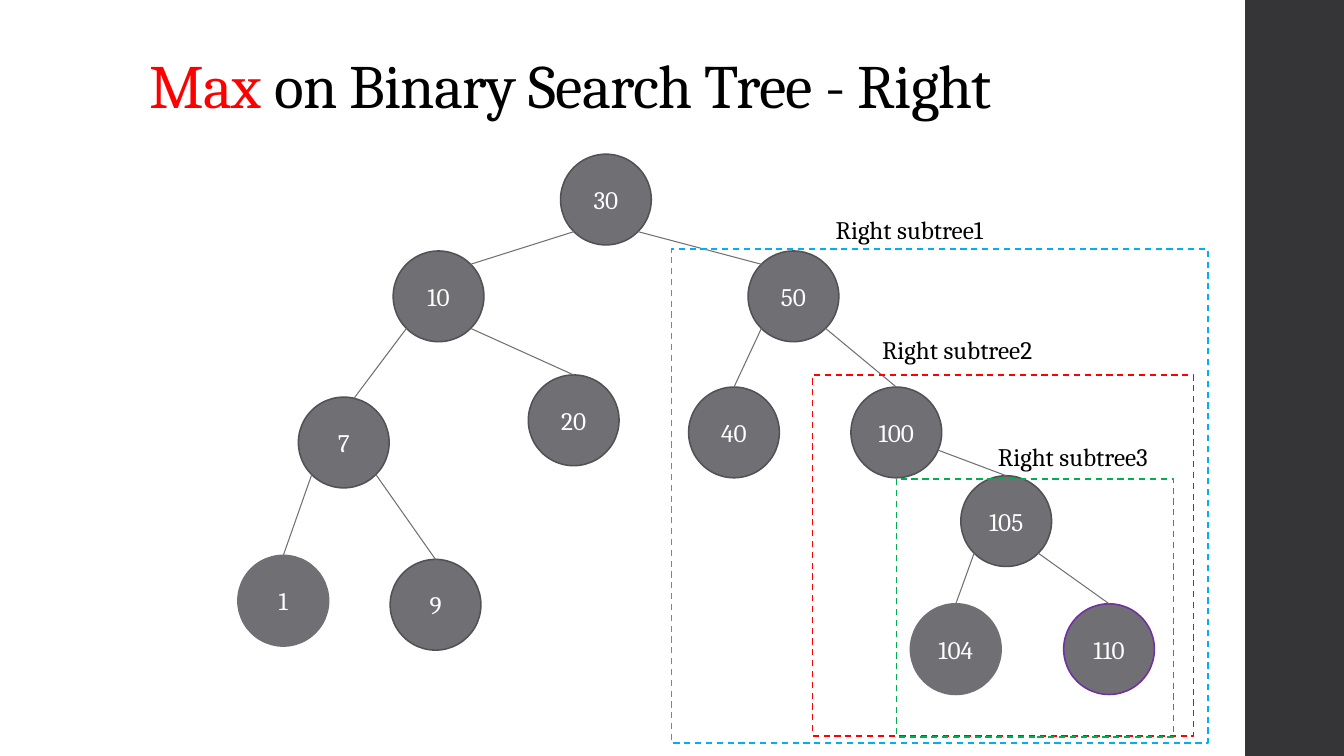
from dataclasses import dataclass
from math import cos, radians, sin

from lxml import etree
from pptx import Presentation
from pptx.dml.color import RGBColor
from pptx.enum.dml import MSO_LINE
from pptx.enum.shapes import MSO_CONNECTOR, MSO_SHAPE
from pptx.enum.text import MSO_ANCHOR, MSO_AUTO_SIZE, PP_ALIGN
from pptx.oxml.ns import qn
from pptx.util import Inches, Pt

ELLIPSE, RECTANGLE = MSO_SHAPE.OVAL, MSO_SHAPE.RECTANGLE
STRAIGHT = MSO_CONNECTOR.STRAIGHT
DASH = MSO_LINE.DASH
LEFT, CENTER = PP_ALIGN.LEFT, PP_ALIGN.CENTER
MIDDLE, BOTTOM = MSO_ANCHOR.MIDDLE, MSO_ANCHOR.BOTTOM

FONT = "Cambria"
GRAY, DARK_GRAY, SIDEBAR = "6F6F74", "525256", "353537"
RED, BLACK, WHITE = "FF0000", "000000", "FFFFFF"
DIAMETER = 0.9

# Directions around a node in degrees, clockwise from the right
LOWER_RIGHT, LOWER_LEFT, UPPER_LEFT, TOP, UPPER_RIGHT = 45, 135, 225, 270, 315


@dataclass
class Node:
    key: int
    left: float
    top: float
    outline: str = DARK_GRAY

    def rim(self, angle: float) -> tuple[float, float]:
        """Point on the circle in the given direction."""
        radius = DIAMETER / 2
        return (self.left + radius + radius * cos(radians(angle)),
                self.top + radius + radius * sin(radians(angle)))


@dataclass
class Edge:
    parent: int
    child: int
    leave: float
    arrive: float = TOP


@dataclass
class Subtree:
    label: str
    label_left: float
    label_top: float
    left: float
    top: float
    width: float
    height: float
    color: str


NODES = [
    Node(30, 5.56, 1.53),
    Node(10, 3.9, 2.49),
    Node(50, 7.42, 2.49),
    Node(7, 2.96, 3.94),
    Node(20, 5.24, 3.72),
    Node(40, 6.83, 3.84),
    Node(100, 8.44, 3.84),
    Node(1, 2.36, 5.51, GRAY),
    Node(9, 3.87, 5.55),
    Node(105, 9.53, 4.72),
    Node(104, 9.03, 5.99, GRAY),
    Node(110, 10.55, 5.99, "7030A0"),
]
EDGES = [
    Edge(30, 10, LOWER_LEFT, UPPER_RIGHT),
    Edge(30, 50, LOWER_RIGHT, UPPER_LEFT),
    Edge(10, 7, LOWER_LEFT, 283),
    Edge(10, 20, LOWER_RIGHT),
    Edge(7, 1, LOWER_LEFT),
    Edge(7, 9, LOWER_RIGHT),
    Edge(50, 40, LOWER_LEFT),
    Edge(50, 100, LOWER_RIGHT),
    Edge(100, 105, 23),
    Edge(105, 104, LOWER_LEFT),
    Edge(105, 110, LOWER_RIGHT),
]
SUBTREES = [
    Subtree("Right subtree1", 8.19, 2.08, 6.66, 2.47, 5.32, 4.9, "00B0F0"),
    Subtree("Right subtree2", 8.65, 3.27, 8.06, 3.72, 3.78, 3.58, RED),
    Subtree("Right subtree3", 9.8, 4.33, 8.89, 4.75, 2.75, 2.56, "00B050"),
]


def rgb(color: str) -> RGBColor:
    return RGBColor.from_string(color)


def style(font, size: float, color: str) -> None:
    font.name = FONT
    font.size = Pt(size)
    font.color.rgb = rgb(color)


def draw_sidebar(slide) -> None:
    sidebar = slide.shapes.add_shape(
        RECTANGLE, Inches(12.35), 0, Inches(0.98), Inches(7.5))
    sidebar.shadow.inherit = False
    sidebar.fill.solid()
    sidebar.fill.fore_color.rgb = rgb(SIDEBAR)
    sidebar.line.fill.background()


def write_title(slide) -> None:
    title = slide.shapes.title
    title.left, title.top = Inches(1.38), Inches(0.4)
    title.width, title.height = Inches(10.6), Inches(0.86)
    frame = title.text_frame
    frame.word_wrap = True
    frame.auto_size = MSO_AUTO_SIZE.NONE
    frame.vertical_anchor = BOTTOM
    heading = frame.paragraphs[0]
    heading.alignment = LEFT
    heading.line_spacing = 0.9
    for words, color in (("Max", RED), (" on Binary Search Tree - Right", BLACK)):
        run = heading.add_run()
        run.text = words
        style(run.font, 44, color)
        run._r.get_or_add_rPr().set("spc", "-50")


def draw_node(slide, node: Node) -> None:
    circle = slide.shapes.add_shape(
        ELLIPSE, Inches(node.left), Inches(node.top),
        Inches(DIAMETER), Inches(DIAMETER))
    circle.shadow.inherit = False
    circle.fill.solid()
    circle.fill.fore_color.rgb = rgb(GRAY)
    circle.line.color.rgb = rgb(node.outline)
    circle.line.width = Pt(1.1)
    frame = circle.text_frame
    frame.text = str(node.key)
    frame.vertical_anchor = MIDDLE
    frame.paragraphs[0].alignment = CENTER
    style(frame.paragraphs[0].runs[0].font, 18, WHITE)


def draw_edge(slide, edge: Edge, nodes: dict[int, Node]) -> None:
    start = nodes[edge.parent].rim(edge.leave)
    end = nodes[edge.child].rim(edge.arrive)
    branch = slide.shapes.add_connector(
        STRAIGHT, *(Inches(value) for value in start + end))
    branch.line.color.rgb = rgb(GRAY)
    branch.line.width = Pt(0.75)
    etree.SubElement(branch._element.spPr, qn("a:effectLst"))


def draw_subtree(slide, subtree: Subtree) -> None:
    border = slide.shapes.add_shape(
        RECTANGLE, Inches(subtree.left), Inches(subtree.top),
        Inches(subtree.width), Inches(subtree.height))
    border.shadow.inherit = False
    border.fill.background()
    border.line.color.rgb = rgb(subtree.color)
    border.line.width = Pt(1.1)
    border.line.dash_style = DASH

    caption = slide.shapes.add_textbox(
        Inches(subtree.label_left), Inches(subtree.label_top),
        Inches(1.94), Inches(0.4))
    frame = caption.text_frame
    frame.text = subtree.label
    frame.word_wrap = False
    frame.auto_size = MSO_AUTO_SIZE.SHAPE_TO_FIT_TEXT
    style(frame.paragraphs[0].runs[0].font, 18, BLACK)


def main() -> None:
    deck = Presentation()
    deck.slide_width, deck.slide_height = Inches(13.33), Inches(7.5)
    slide = deck.slides.add_slide(deck.slide_layouts.get_by_name("Title Only"))
    draw_sidebar(slide)
    write_title(slide)
    for node in NODES:
        draw_node(slide, node)
    nodes = {node.key: node for node in NODES}
    for edge in EDGES:
        draw_edge(slide, edge, nodes)
    for subtree in SUBTREES:
        draw_subtree(slide, subtree)
    deck.save("out.pptx")


if __name__ == "__main__":
    main()
